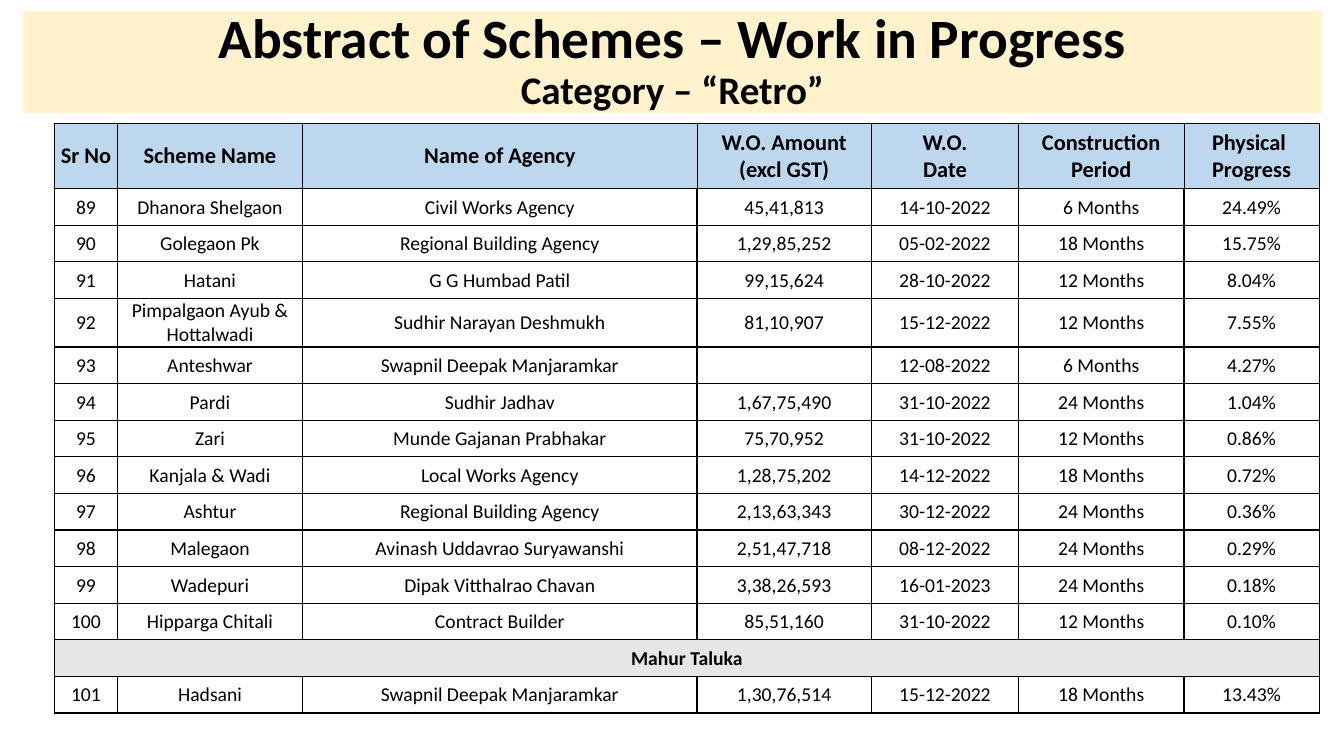
from dataclasses import dataclass

from pptx import Presentation
from pptx.dml.color import RGBColor
from pptx.enum.shapes import MSO_SHAPE
from pptx.enum.text import MSO_ANCHOR, PP_ALIGN
from pptx.oxml import parse_xml
from pptx.oxml.ns import nsdecls
from pptx.util import Pt


@dataclass(frozen=True)
class Theme:
    font: str = "Calibri"
    ink: str = "000000"
    banner: str = "FFF2CC"
    heading_fill: str = "BDD7EE"
    section_fill: str = "E7E6E6"
    title_size: float = 39.6
    subtitle_size: float = 27.9
    heading_size: float = 16
    body_size: float = 14
    thin_line: float = 0.5
    line: float = 1


THEME = Theme()
COLUMN_WIDTHS = [44.65, 132.55, 281.55, 124.65, 105.1, 118.15, 96.55]
HEADINGS = [
    ["Sr No"], ["Scheme Name"], ["Name of Agency"], ["W.O. Amount\n(excl GST)"],
    ["W.O.\nDate"], ["Construction\nPeriod"], ["Physical ", "Progress"],
]
# A row with a single entry is a section heading across the table
SCHEMES = [
    ["89", "Dhanora Shelgaon", "Civil Works Agency", "45,41,813", "14-10-2022", "6 Months", "24.49%"],
    ["90", "Golegaon Pk", "Regional Building Agency", "1,29,85,252", "05-02-2022", "18 Months", "15.75%"],
    ["91", "Hatani", "G G Humbad Patil", "99,15,624", "28-10-2022", "12 Months", "8.04%"],
    ["92", "Pimpalgaon Ayub & Hottalwadi", "Sudhir Narayan Deshmukh", "81,10,907", "15-12-2022", "12 Months", "7.55%"],
    ["93", "Anteshwar", "Swapnil Deepak Manjaramkar", "", "12-08-2022", "6 Months", "4.27%"],
    ["94", "Pardi", "Sudhir Jadhav", "1,67,75,490", "31-10-2022", "24 Months", "1.04%"],
    ["95", "Zari", "Munde Gajanan Prabhakar", "75,70,952", "31-10-2022", "12 Months", "0.86%"],
    ["96", "Kanjala & Wadi", "Local Works Agency", "1,28,75,202", "14-12-2022", "18 Months", "0.72%"],
    ["97", "Ashtur", "Regional Building Agency", "2,13,63,343", "30-12-2022", "24 Months", "0.36%"],
    ["98", "Malegaon", "Avinash Uddavrao Suryawanshi", "2,51,47,718", "08-12-2022", "24 Months", "0.29%"],
    ["99", "Wadepuri", "Dipak Vitthalrao Chavan", "3,38,26,593", "16-01-2023", "24 Months", "0.18%"],
    ["100", "Hipparga Chitali", "Contract Builder", "85,51,160", "31-10-2022", "12 Months", "0.10%"],
    ["Mahur Taluka"],
    ["101", "Hadsani", "Swapnil Deepak Manjaramkar", "1,30,76,514", "15-12-2022", "18 Months", "13.43%"],
]


def add_text(paragraph, text, size=THEME.body_size, bold=False, color=THEME.ink):
    """Append centred text; a newline becomes a line break."""
    paragraph.alignment = PP_ALIGN.CENTER
    for index, line in enumerate(text.split("\n")):
        if index:
            paragraph.add_line_break()
        if line:
            run = paragraph.add_run()
            run.text = line
            run.font.name = THEME.font
            run.font.size = Pt(size)
            run.font.bold = bold
            run.font.color.rgb = RGBColor.from_string(color)


def set_borders(cell, width, bottom):
    properties = cell._tc.get_or_add_tcPr()
    sides = {"lnL": width, "lnR": width, "lnT": width, "lnB": bottom}
    for position, (side, weight) in enumerate(sides.items()):
        properties.insert(position, parse_xml(
            f'<a:{side} {nsdecls("a")} w="{Pt(weight)}"><a:solidFill>'
            f'<a:srgbClr val="{THEME.ink}"/></a:solidFill></a:{side}>'))


def format_cell(cell, paragraphs, fill=None, line=THEME.line, **text_format):
    cell.vertical_anchor = MSO_ANCHOR.MIDDLE
    cell.margin_left = cell.margin_right = cell.margin_top = Pt(0.7)
    cell.margin_bottom = Pt(0)
    if fill:
        cell.fill.solid()
        cell.fill.fore_color.rgb = RGBColor.from_string(fill)
    else:
        cell.fill.background()
    set_borders(cell, line, THEME.line)
    for index, text in enumerate(paragraphs):
        frame = cell.text_frame
        paragraph = frame.add_paragraph() if index else frame.paragraphs[0]
        add_text(paragraph, text, **text_format)


def add_grid(slide, left, top, row_count, row_height):
    """Add an unstyled table with the shared column widths."""
    table = slide.shapes.add_table(
        row_count, len(COLUMN_WIDTHS), Pt(left), Pt(top),
        Pt(sum(COLUMN_WIDTHS)), Pt(row_height * row_count)).table
    table.first_row = table.horz_banding = False
    for column, width in zip(table.columns, COLUMN_WIDTHS):
        column.width = Pt(width)
    for row in table.rows:
        row.height = Pt(row_height)
    return table


# Title banner
def add_banner(slide, left, top, width, height):
    shape = slide.shapes.add_shape(
        MSO_SHAPE.RECTANGLE, Pt(left), Pt(top), Pt(width), Pt(height))
    shape.shadow.inherit = False
    shape.fill.solid()
    shape.fill.fore_color.rgb = RGBColor.from_string(THEME.banner)
    shape.line.fill.background()
    frame = shape.text_frame
    frame.word_wrap = True
    frame.vertical_anchor = MSO_ANCHOR.MIDDLE
    paragraph = frame.paragraphs[0]
    paragraph.line_spacing = 0.9
    add_text(paragraph, "Abstract of Schemes – Work in Progress\n",
             size=THEME.title_size, bold=True)
    add_text(paragraph, "Category – “Retro”", size=THEME.subtitle_size, bold=True)


# Column headings
def add_headings(slide, left, top, height):
    table = add_grid(slide, left, top, 1, height)
    for cell, paragraphs in zip(table.rows[0].cells, HEADINGS):
        format_cell(cell, paragraphs, fill=THEME.heading_fill, line=THEME.thin_line,
                    size=THEME.heading_size, bold=True)


# Scheme rows
def add_schemes(slide, left, top, row_height):
    table = add_grid(slide, left, top, len(SCHEMES), row_height)
    last_column = len(COLUMN_WIDTHS) - 1
    for index, values in enumerate(SCHEMES):
        is_section = len(values) == 1
        if is_section:
            table.cell(index, 0).merge(table.cell(index, last_column))
        fill = THEME.section_fill if is_section else None
        padded = values + [""] * (len(COLUMN_WIDTHS) - len(values))
        for cell, value in zip(table.rows[index].cells, padded):
            format_cell(cell, [value], fill=fill, bold=is_section)


def main():
    presentation = Presentation()
    presentation.slide_width, presentation.slide_height = Pt(960), Pt(540)
    slide = presentation.slides.add_slide(presentation.slide_layouts[6])
    table_left, table_top, heading_height = 39.1, 87.9, 46.8
    add_banner(slide, 16.6, 8, 927.4, 72.7)
    add_headings(slide, table_left, table_top, heading_height)
    add_schemes(slide, table_left, table_top + heading_height, 26.15)
    presentation.save("out.pptx")


if __name__ == "__main__":
    main()
